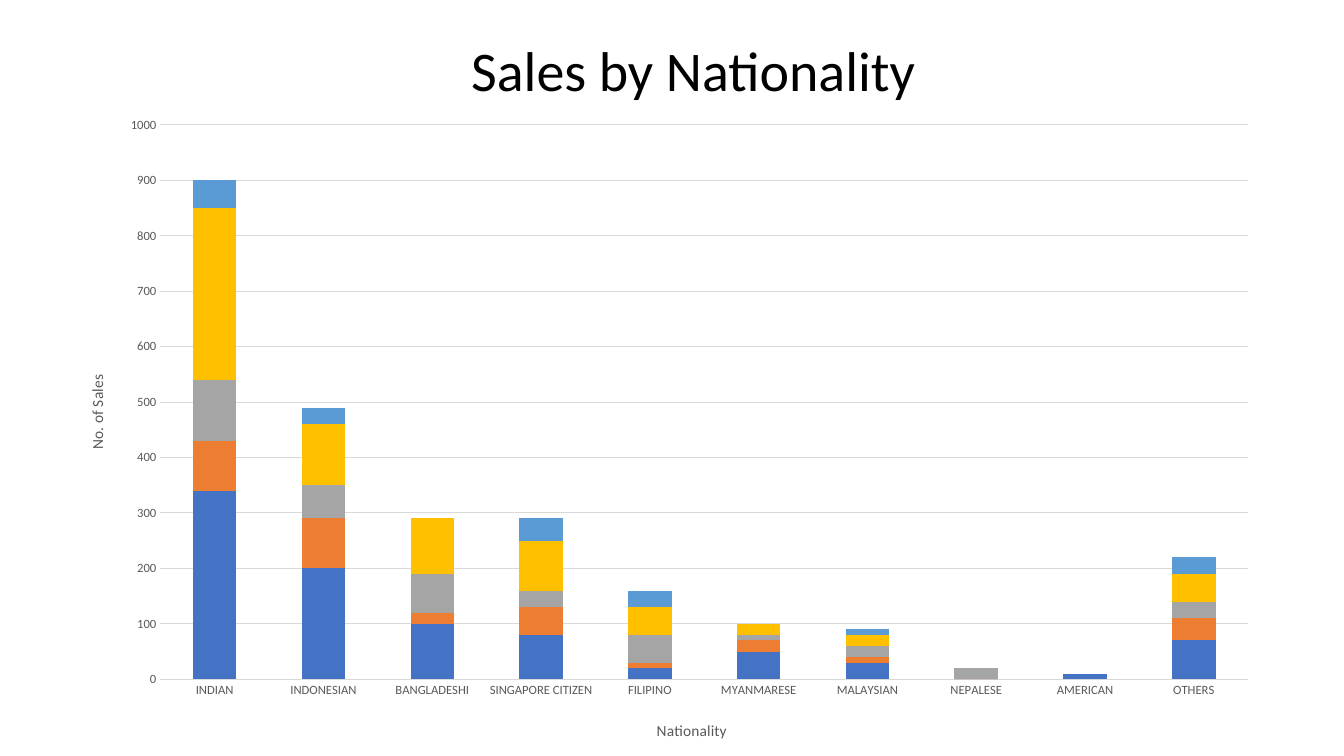
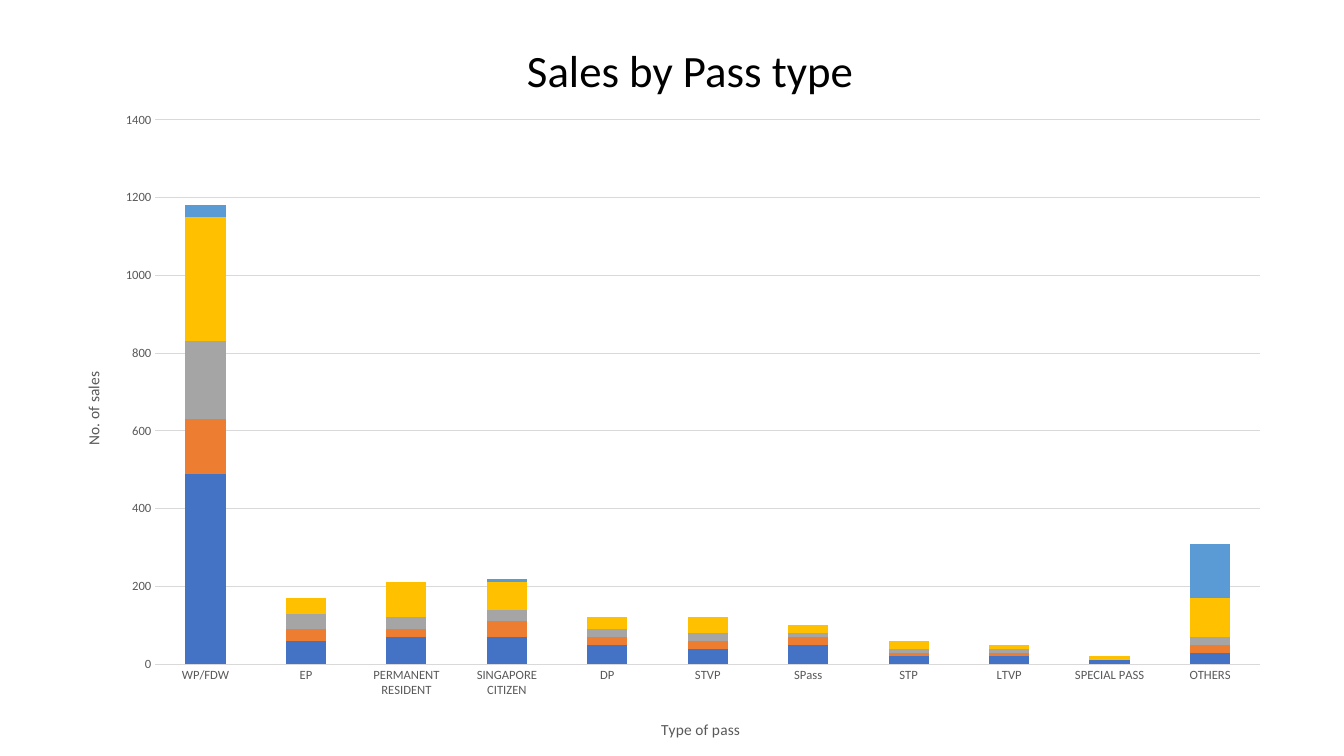
from lxml import etree
from pptx import Presentation
from pptx.chart.data import CategoryChartData
from pptx.dml.color import RGBColor
from pptx.enum import chart as ec, text as et
from pptx.oxml.ns import qn
from pptx.util import Inches, Pt

FONT = "Calibri"
COLORS = {"title": "000000", "label": "595959", "grid": "D9D9D9"}
SERIES_COLORS = ["4472C4", "ED7D31", "A5A5A5", "FFC000", "5B9BD5"]

PAGES = [
    {
        "title": "Sales by Nationality", "size": 40, "title_left": 0.92,
        "frame": (0.59, 1.04, 12.03, 6.46), "plot": (1.59, 1.24, 10.79, 5.5),
        "axes": ("Nationality", "No. of Sales"), "top": 1000, "step": 100,
        "groups": ["INDIAN", "INDONESIAN", "BANGLADESHI", "SINGAPORE CITIZEN", "FILIPINO",
                   "MYANMARESE", "MALAYSIAN", "NEPALESE", "AMERICAN", "OTHERS"],
        "sales": [
            (340, 200, 100, 80, 20, 50, 30, 0, 10, 70),
            (90, 90, 20, 50, 10, 20, 10, 0, 0, 40),
            (110, 60, 70, 30, 50, 10, 20, 20, 0, 30),
            (310, 110, 100, 90, 50, 20, 20, 0, 0, 50),
            (50, 30, 0, 40, 30, 0, 10, 0, 0, 30),
        ],
    },
    {
        "title": "Sales by Pass type", "size": 32, "title_left": 0.89,
        "frame": (0.55, 0.99, 12.2, 6.51), "plot": (1.54, 1.19, 10.96, 5.4),
        "axes": ("Type of pass", "No. of sales"), "top": 1400, "step": 200,
        "groups": ["WP/FDW", "EP", "PERMANENT RESIDENT", "SINGAPORE CITIZEN", "DP", "STVP",
                   "SPass", "STP", "LTVP", "SPECIAL PASS", "OTHERS"],
        "sales": [
            (490, 60, 70, 70, 50, 40, 50, 20, 20, 10, 30),
            (140, 30, 20, 40, 20, 20, 20, 10, 10, 0, 20),
            (200, 40, 30, 30, 20, 20, 10, 10, 10, 0, 20),
            (320, 40, 90, 70, 30, 40, 20, 20, 10, 10, 100),
            (30, 0, 0, 10, 0, 0, 0, 0, 0, 0, 140),
        ],
    },
]


def style(font, size, color):
    font.name = FONT
    font.size = Pt(size)
    font.bold = False
    font.color.rgb = RGBColor.from_string(COLORS[color])


def place(parent, index, **settings):
    for old in parent.findall(qn("c:layout")):
        parent.remove(old)
    layout = etree.Element(qn("c:layout"))
    manual = etree.SubElement(layout, qn("c:manualLayout"))
    for tag, value in settings.items():
        etree.SubElement(manual, qn(f"c:{tag}")).set("val", str(value))
    parent.insert(index, layout)


prs = Presentation()
prs.slide_width, prs.slide_height = Inches(13.33), Inches(7.5)

for page in PAGES:
    slide = prs.slides.add_slide(prs.slide_layouts[5])
    title = slide.shapes.title
    title.left, title.top = Inches(page["title_left"]), Inches(0)
    title.width, title.height = Inches(11.91), Inches(1.45)
    title.text_frame.text = page["title"]
    title.text_frame.vertical_anchor = et.MSO_ANCHOR.MIDDLE
    heading = title.text_frame.paragraphs[0]
    heading.alignment = et.PP_ALIGN.CENTER
    heading.line_spacing = 0.9
    style(heading.runs[0].font, page["size"], "title")

    data = CategoryChartData()
    data.categories = page["groups"]
    for number, values in enumerate(page["sales"], 1):
        data.add_series(f"Series {number}", values)
    left, top, width, height = page["frame"]
    chart = slide.shapes.add_chart(
        ec.XL_CHART_TYPE.COLUMN_STACKED, *map(Inches, page["frame"]), data).chart
    chart.has_title = False
    chart.has_legend = False
    style(chart.font, 10, "title")

    bars = chart.plots[0]
    bars.gap_width, bars.overlap = 150, 100
    bars.vary_by_categories = False
    for series, color in zip(bars.series, SERIES_COLORS):
        series.format.fill.solid()
        series.format.fill.fore_color.rgb = RGBColor.from_string(color)

    groups, sales = chart.category_axis, chart.value_axis
    for axis, name in zip((groups, sales), page["axes"]):
        axis.major_tick_mark = axis.minor_tick_mark = ec.XL_TICK_MARK.NONE
        style(axis.tick_labels.font, 9, "label")
        caption = axis.axis_title.text_frame
        caption.text = name
        style(caption.paragraphs[0].runs[0].font, 11, "label")

    sales.minimum_scale, sales.maximum_scale = 0, page["top"]
    sales.major_unit = page["step"]
    sales.has_major_gridlines = True
    sales.format.line.fill.background()
    for line in (groups.format.line, sales.major_gridlines.format.line):
        line.color.rgb = RGBColor.from_string(COLORS["grid"])
        line.width = Pt(0.75)

    plot_left, plot_top, plot_width, plot_height = page["plot"]
    space = chart.element
    place(space.xpath(".//c:plotArea")[0], 0, layoutTarget="inner", xMode="edge", yMode="edge",
          x=(plot_left - left) / width, y=(plot_top - top) / height,
          w=plot_width / width, h=plot_height / height)
    place(space.xpath(".//c:catAx/c:title")[0], 1, xMode="edge", yMode="edge", x=0.49, y=0.94)
    place(space.xpath(".//c:valAx/c:title")[0], 1, xMode="edge", yMode="edge", x=0.02, y=0.41)
    turned = space.xpath(".//c:valAx/c:title//a:bodyPr")[0]
    turned.set("rot", "-5400000")
    turned.set("vert", "horz")

prs.save("out.pptx")
